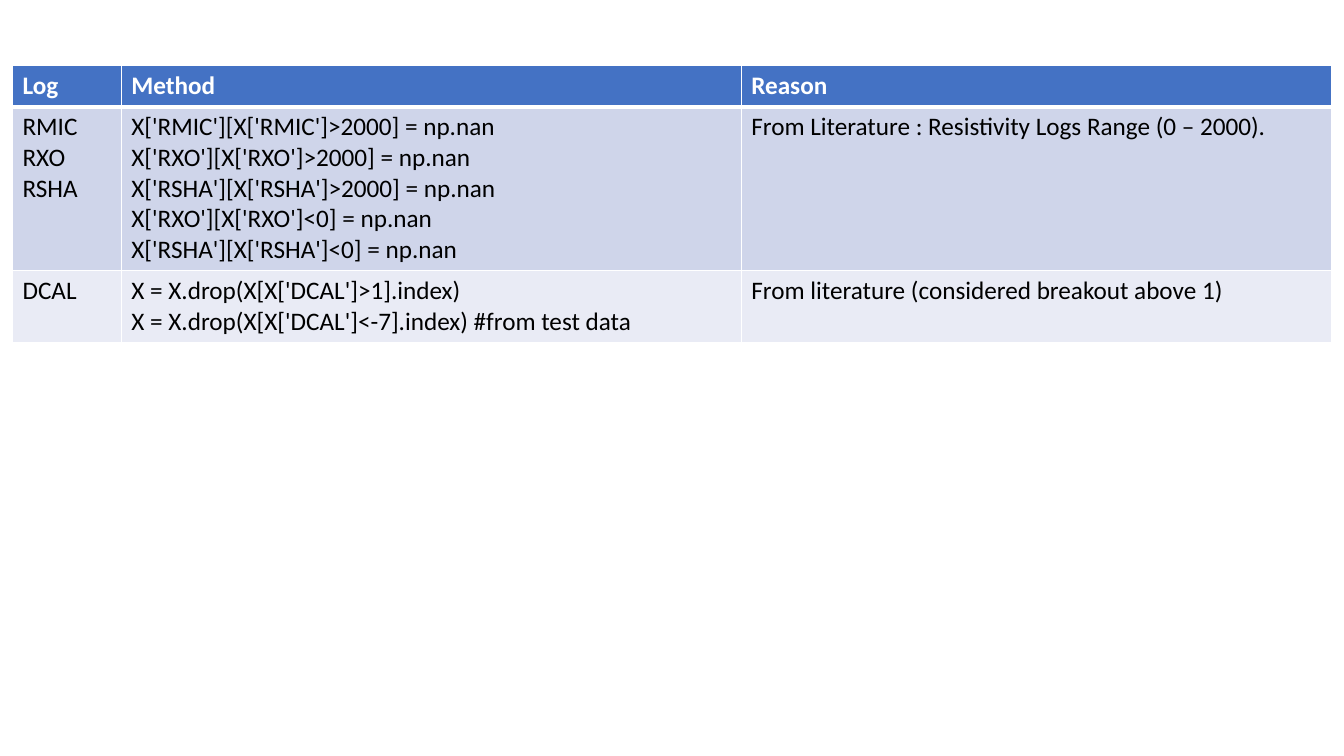
"""Build a slide with a table of well-log cleaning rules and their reasons."""
from lxml import etree
from pptx import Presentation
from pptx import util as u
from pptx.dml.color import RGBColor
from pptx.oxml import ns

HEADER = ("Log", "Method", "Reason")
RULES = [
    (
        "RMIC\nRXO\nRSHA",
        "X['RMIC'][X['RMIC']>2000] = np.nan\n"
        "X['RXO'][X['RXO']>2000] = np.nan\n"
        "X['RSHA'][X['RSHA']>2000] = np.nan\n"
        "X['RXO'][X['RXO']<0] = np.nan\n"
        "X['RSHA'][X['RSHA']<0] = np.nan",
        "From Literature : Resistivity Logs Range (0 – 2000).",
    ),
    (
        "DCAL",
        "X = X.drop(X[X['DCAL']>1].index)\n"
        "X = X.drop(X[X['DCAL']<-7].index) #from test data",
        "From literature (considered breakout above 1)",
    ),
]

WHITE = RGBColor(0xFF, 0xFF, 0xFF)
BLACK = RGBColor(0, 0, 0)
BLUE = RGBColor(0x44, 0x72, 0xC4)
BANDS = (RGBColor(0xCF, 0xD5, 0xEA), RGBColor(0xE9, 0xEB, 0xF5))

LEFT, TOP = 8.9, 47
COLUMN_WIDTHS = (77.8, 442.8, 421.9)
ROW_HEIGHTS = (29, 117, 51)
THIN, THICK = 1, 3


def set_text(cell, content, *, size=18, color=BLACK, bold=False, font="Calibri"):
    cell.text_frame.text = content
    for paragraph in cell.text_frame.paragraphs:
        for run in paragraph.runs:
            run.font.name = font
            run.font.size = u.Pt(size)
            run.font.bold = bold
            run.font.color.rgb = color


def set_borders(cell, top, bottom):
    properties = cell._tc.get_or_add_tcPr()
    for side, width in (("L", THIN), ("R", THIN), ("T", top), ("B", bottom)):
        line = etree.SubElement(properties, ns.qn(f"a:ln{side}"), w=str(u.Pt(width)))
        fill = etree.SubElement(line, ns.qn("a:solidFill"))
        etree.SubElement(fill, ns.qn("a:srgbClr"), val=str(WHITE))


def main():
    presentation = Presentation()
    presentation.slide_width, presentation.slide_height = u.Pt(960), u.Pt(540)
    slide = presentation.slides.add_slide(presentation.slide_layouts[6])

    rows = [HEADER, *RULES]
    table = slide.shapes.add_table(
        len(rows), len(HEADER), u.Pt(LEFT), u.Pt(TOP),
        u.Pt(sum(COLUMN_WIDTHS)), u.Pt(sum(ROW_HEIGHTS)),
    ).table
    for column, width in zip(table.columns, COLUMN_WIDTHS):
        column.width = u.Pt(width)
    for row, height in zip(table.rows, ROW_HEIGHTS):
        row.height = u.Pt(height)

    for row_index, contents in enumerate(rows):
        is_header = row_index == 0
        for column_index, content in enumerate(contents):
            cell = table.cell(row_index, column_index)
            set_text(cell, content, color=WHITE if is_header else BLACK, bold=is_header)
            set_borders(
                cell,
                top=THICK if row_index == 1 else THIN,
                bottom=THICK if is_header else THIN,
            )
            cell.fill.solid()
            cell.fill.fore_color.rgb = BLUE if is_header else BANDS[(row_index - 1) % 2]

    presentation.save("out.pptx")


if __name__ == "__main__":
    main()
